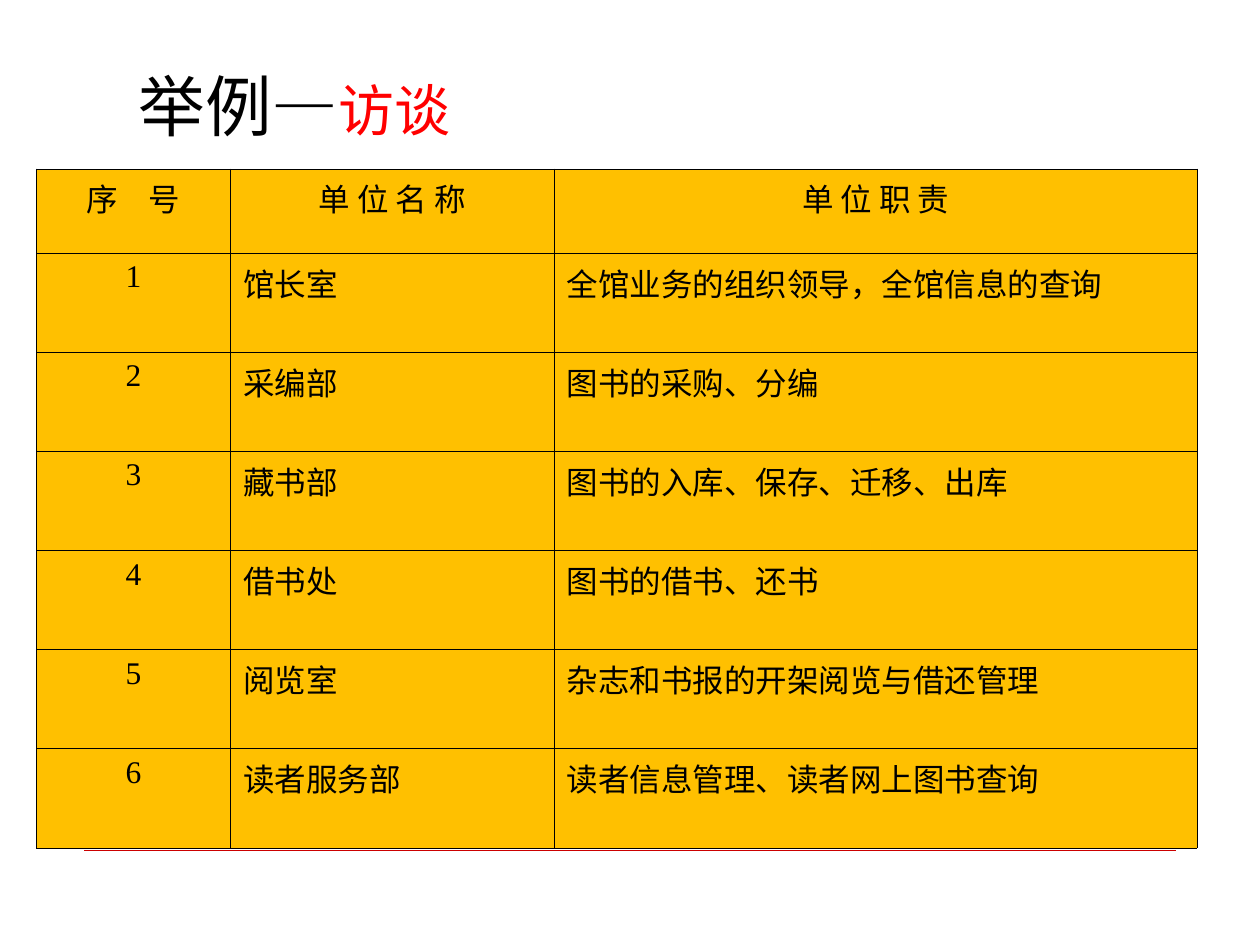
from lxml import etree
from pptx import Presentation
from pptx import util as u
from pptx.dml.color import RGBColor
from pptx.enum import shapes, text
from pptx.oxml.ns import qn

COLORS = {"black": "000000", "red": "FF0000", "rule": "CC0000", "cell": "FFC000"}
LATIN, CJK = "Times New Roman", "Noto Sans CJK SC"


def rgb(name):
    return RGBColor.from_string(COLORS[name])


class Deck:
    def __init__(self, prs):
        self.slide = prs.slides.add_slide(prs.slide_layouts[5])

    def style(self, r, size, color="black", latin=LATIN):
        r.font.size = u.Pt(size)
        r.font.name = latin
        r.font.color.rgb = rgb(color)
        ea = etree.Element(qn("a:ea"), typeface=CJK)
        r.font._element.find(qn("a:latin")).addnext(ea)

    def title(self, box, parts):
        sp = self.slide.shapes.title
        sp.left, sp.top, sp.width, sp.height = map(u.Inches, box)
        tf = sp.text_frame
        tf.auto_size = text.MSO_AUTO_SIZE.NONE
        tf.vertical_anchor = text.MSO_ANCHOR.BOTTOM
        p = tf.paragraphs[0]
        p.alignment = text.PP_ALIGN.LEFT
        for words, size, color in parts:
            r = p.add_run()
            r.text = words
            self.style(r, size, color, CJK)

    def rule(self, x1, x2, y, width):
        line = self.slide.shapes.add_connector(
            shapes.MSO_CONNECTOR.STRAIGHT, *map(u.Inches, (x1, y, x2, y)))
        line.line.color.rgb = rgb("rule")
        line.line.width = u.Pt(width)
        etree.SubElement(line._element.spPr, qn("a:effectLst"))

    def borders(self, cell, width):
        tcPr = cell._tc.get_or_add_tcPr()
        for i, side in enumerate(("lnL", "lnR", "lnT", "lnB")):
            ln = etree.Element(qn("a:" + side), w=str(int(u.Pt(width))))
            fill = etree.SubElement(ln, qn("a:solidFill"))
            etree.SubElement(fill, qn("a:srgbClr"), val=COLORS["black"])
            tcPr.insert(i, ln)

    def table(self, left, top, widths, heights, rows):
        frame = self.slide.shapes.add_table(
            len(rows), len(widths), u.Inches(left), u.Inches(top),
            u.Inches(sum(widths)), u.Inches(sum(heights)))
        table = frame.table
        for column, width in zip(table.columns, widths):
            column.width = u.Inches(width)
        for row, height in zip(table.rows, heights):
            row.height = u.Inches(height)
        for i, values in enumerate(rows):
            for j, value in enumerate(values):
                cell = table.cell(i, j)
                cell.fill.solid()
                cell.fill.fore_color.rgb = rgb("cell")
                self.borders(cell, 0.45)
                p = cell.text_frame.paragraphs[0]
                centred = i == 0 or j == 0
                p.alignment = text.PP_ALIGN.CENTER if centred else text.PP_ALIGN.LEFT
                p.text = value
                for r in p.runs:
                    self.style(r, 18)
        return table


def main():
    prs = Presentation()
    prs.slide_width, prs.slide_height = u.Inches(10), u.Inches(7.5)
    deck = Deck(prs)

    # Footer rule
    deck.rule(0.67, 9.33, 6.75, 0.25)

    # Departments table
    departments = [
        ("馆长室", "全馆业务的组织领导，全馆信息的查询"),
        ("采编部", "图书的采购、分编"),
        ("藏书部", "图书的入库、保存、迁移、出库"),
        ("借书处", "图书的借书、还书"),
        ("阅览室", "杂志和书报的开架阅览与借还管理"),
        ("读者服务部", "读者信息管理、读者网上图书查询"),
    ]
    rows = [("序 ", "单 位 名 称", "单 位 职 责")]
    rows += [(str(n), *row) for n, row in enumerate(departments, 1)]
    header = 0.67
    body = (5.39 - header) / len(departments)
    table = deck.table(0.29, 1.34, [1.54, 2.57, 5.1],
                       [header] + [body] * len(departments), rows)

    # Wide gap inside the first heading, made with letter spacing
    p = table.cell(0, 0).text_frame.paragraphs[0]
    p.runs[0].font._element.set("spc", "675")
    r = p.add_run()
    r.text = "号"
    deck.style(r, 18)

    # Title
    deck.title((1, 0.3, 8.5, 0.9), [("举例—", 38, "black"), ("访谈", 32, "red")])

    prs.save("out.pptx")


if __name__ == "__main__":
    main()
